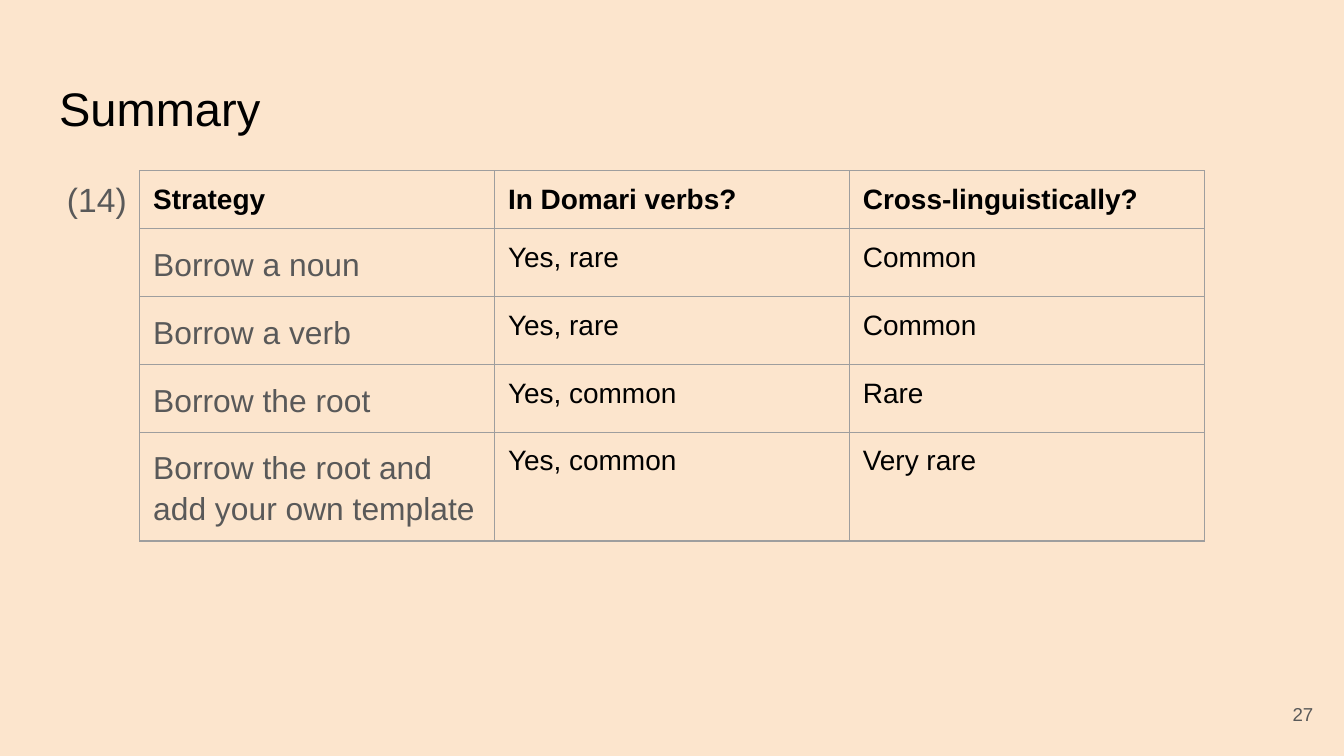
from lxml import etree
from pptx import Presentation
from pptx.dml.color import RGBColor
from pptx.enum.text import MSO_ANCHOR, PP_ALIGN
from pptx.oxml.ns import qn
from pptx.util import Inches, Pt

TOP, MIDDLE = MSO_ANCHOR.TOP, MSO_ANCHOR.MIDDLE
LEFT, RIGHT = PP_ALIGN.LEFT, PP_ALIGN.RIGHT

SLIDE_WIDTH = 10
SLIDE_HEIGHT = SLIDE_WIDTH * 9 / 16
BACKGROUND, BLACK, GREY, BORDER = "FCE5CD", "000000", "595959", "9E9E9E"
FONT = "Arial"
INSET = 0.1

TITLE = "Summary"
EXAMPLE_NUMBER = "(14)"
PAGE_NUMBER = "27"
ROWS = [
    ("Strategy", "In Domari verbs?", "Cross-linguistically?"),
    ("Borrow a noun", "Yes, rare", "Common"),
    ("Borrow a verb", "Yes, rare", "Common"),
    ("Borrow the root", "Yes, common", "Rare"),
    ("Borrow the root and add your own template", "Yes, common", "Very rare"),
]
TABLE_LEFT, TABLE_TOP = 1.04, 1.27
COLUMN_WIDTH, ROW_HEIGHT = 2.64, 0.42

HEADER = {"size": 15, "color": BLACK, "bold": True}
STRATEGY = {"size": 17, "color": GREY,
            "spacing": {"line_spacing": 1.15, "space_after": Pt(12)}}
ANSWER = {"size": 15, "color": BLACK}


def rgb(value):
    return RGBColor.from_string(value)


def set_insets(target):
    for side in ("left", "right", "top", "bottom"):
        setattr(target, f"margin_{side}", Inches(INSET))


def write(frame, text, size, color, bold=False, align=LEFT, spacing=None):
    para = frame.paragraphs[0]
    for name, value in {"alignment": align, **(spacing or {})}.items():
        setattr(para, name, value)
    span = para.add_run()
    span.text = text
    for name, value in {"name": FONT, "size": Pt(size), "bold": bold}.items():
        setattr(span.font, name, value)
    span.font.color.rgb = rgb(color)


def fill_box(box, area, text, size, color, anchor=TOP, align=LEFT):
    for name, value in zip(("left", "top", "width", "height"), area):
        setattr(box, name, Inches(value))
    frame = box.text_frame
    frame.word_wrap = True
    frame.vertical_anchor = anchor
    set_insets(frame)
    write(frame, text, size, color, align=align)


def add_borders(cell):
    properties = cell._tc.get_or_add_tcPr()
    for index, side in enumerate(("lnL", "lnR", "lnT", "lnB")):
        line = etree.Element(qn(f"a:{side}"), w=str(Pt(0.75)))
        fill = etree.SubElement(line, qn("a:solidFill"))
        etree.SubElement(fill, qn("a:srgbClr"), val=BORDER)
        properties.insert(index, line)


def add_summary_table(page):
    row_count, column_count = len(ROWS), len(ROWS[0])
    table = page.shapes.add_table(
        row_count, column_count, Inches(TABLE_LEFT), Inches(TABLE_TOP),
        Inches(COLUMN_WIDTH * column_count), Inches(ROW_HEIGHT * row_count)).table
    table.horz_banding = False
    table.first_row = False
    for row_index, row in enumerate(ROWS):
        for column_index, text in enumerate(row):
            cell = table.cell(row_index, column_index)
            cell.fill.background()
            set_insets(cell)
            add_borders(cell)
            body = STRATEGY if column_index == 0 else ANSWER
            write(cell.text_frame, text, **(HEADER if row_index == 0 else body))


def main():
    deck = Presentation()
    deck.slide_width, deck.slide_height = Inches(SLIDE_WIDTH), Inches(SLIDE_HEIGHT)
    page = deck.slides.add_slide(deck.slide_layouts[5])
    page.background.fill.solid()
    page.background.fill.fore_color.rgb = rgb(BACKGROUND)

    fill_box(page.shapes.title, (0.34, 0.49, 9.32, 0.63), TITLE, 25.2, BLACK)
    add_summary_table(page)
    for area, text, size, anchor, align in [
        ((9.27, 5.1, 0.6, 0.43), PAGE_NUMBER, 10, MIDDLE, RIGHT),
        ((0.4, 1.23, 7.31, 0.5), EXAMPLE_NUMBER, 18, TOP, LEFT),
    ]:
        box = page.shapes.add_textbox(0, 0, 0, 0)
        fill_box(box, area, text, size, GREY, anchor, align)

    deck.save("out.pptx")


if __name__ == "__main__":
    main()
